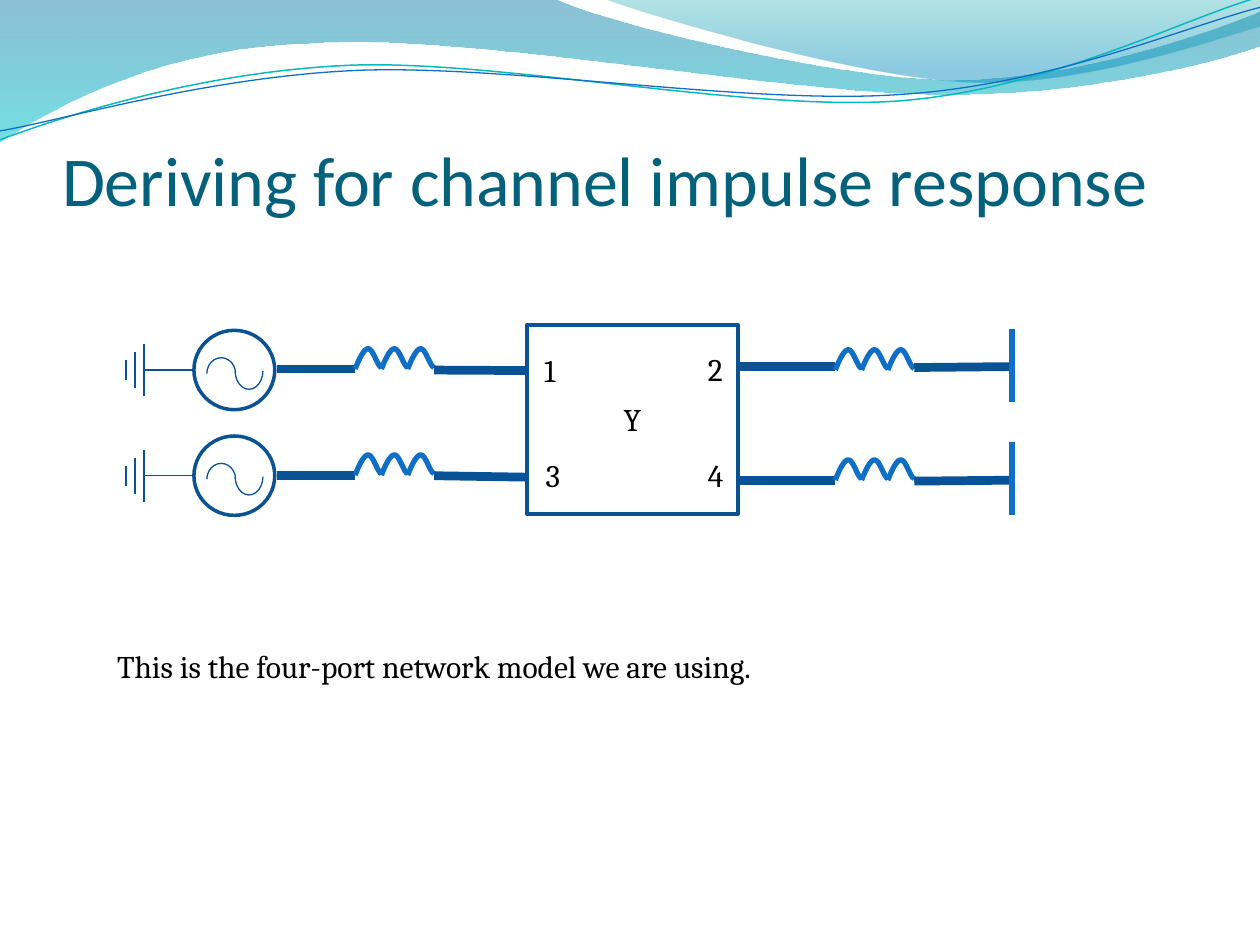
from dataclasses import dataclass

from lxml import etree
from pptx import Presentation
from pptx.dml.color import RGBColor
from pptx.enum.shapes import MSO_CONNECTOR, MSO_SHAPE
from pptx.enum.text import MSO_ANCHOR, PP_ALIGN
from pptx.oxml.ns import qn
from pptx.util import Cm, Pt

STRAIGHT = MSO_CONNECTOR.STRAIGHT
RECTANGLE, OVAL, ARC = MSO_SHAPE.RECTANGLE, MSO_SHAPE.OVAL, MSO_SHAPE.ARC
LEFT, CENTER = PP_ALIGN.LEFT, PP_ALIGN.CENTER
TOP, MIDDLE, BOTTOM = MSO_ANCHOR.TOP, MSO_ANCHOR.MIDDLE, MSO_ANCHOR.BOTTOM


@dataclass(frozen=True)
class Theme:
    title: str = "04617B"
    text: str = "000000"
    wire: str = "095295"
    outline: str = "0B5292"
    coil: str = "0F6FC6"
    teal: str = "0AB8BF"
    title_font: str = "Calibri"
    body_font: str = "Cambria"
    title_size: int = 40
    body_size: int = 18


@dataclass(frozen=True)
class Stop:
    position: float
    color: str
    opacity: int  # percent


@dataclass(frozen=True)
class Wave:
    """Two numbers in a segment make a line, six make a Bezier curve (cm)."""
    start: tuple
    segments: tuple
    stops: tuple = ()
    color: str = ""
    weight: float = 0
    rotation: float = 0


@dataclass(frozen=True)
class SourceBranch:
    y: float
    coil_y: float
    port_y: float


@dataclass(frozen=True)
class LoadBranch:
    wire_y: float
    coil_y: float
    bar_y: float


@dataclass(frozen=True)
class Port:
    number: str
    left: float
    top: float


THEME = Theme()
BOX_LEFT, BOX_RIGHT = 10.62, 14.88
SOURCE_COIL_X, LOAD_COIL_X, TURN, TURNS = 7.16, 16.84, 0.53, 3
BAR_X, BAR_HEIGHT = 20.4, 1.47
TURN_CURVE = ((0.08, -0.21, 0.18, -0.41, 0.26, -0.41),
              (0.36, -0.42, 0.45, -0.05, TURN, -0.03))

WAVES = (
    Wave((0, 0), ((11.18, -0.03), (12.09, 0.43, 16.87, 1.6, 19.25, 1.6),
                  (21.67, 1.6, 24.33, 0.66, 25.4, 0.23), (25.43, 0.91),
                  (24.97, 1.12, 22.1, 1.93, 18.95, 1.9),
                  (15.8, 1.9, 9.7, 0.71, 6.53, 0.86),
                  (3.28, 0.91, 1.17, 2.11, -0.03, 2.87)),
         stops=(Stop(0, "0074A1", 45), Stop(1, "00C6CF", 55))),
    Wave((12.17, -0.03), ((12.93, 0.28, 17.32, 1.57, 19.53, 1.65),
                          (21.74, 1.75, 24.41, 0.81, 25.4, 0.53), (25.4, 0)),
         stops=(Stop(0, "00A1A9", 30), Stop(0.8, "008BBF", 45))),
    Wave((-0.05, 2.22), ((1.19, 1.82, 4.02, 1.04, 7.05, 1.05),
                         (10.05, 1.07, 15.02, 2.37, 18.08, 2.29),
                         (21.13, 2.2, 23.87, 0.91, 25.41, 0.55)),
         color=THEME.teal, weight=0.85, rotation=357.3),
    Wave((-0.04, 2.04), ((1.16, 1.9, 4.18, 1.15, 7.2, 1.16),
                         (10.25, 1.18, 15.13, 2.25, 18.18, 2.16),
                         (21.21, 2.1, 23.93, 1.06, 25.45, 0.75)),
         color=THEME.coil, weight=0.75, rotation=357.3),
)
SOURCE_BRANCHES = (SourceBranch(7.46, 7.44, 7.47), SourceBranch(9.59, 9.58, 9.62))
LOAD_BRANCHES = (LoadBranch(7.39, 7.46, 7.37), LoadBranch(9.68, 9.68, 9.65))
PORTS = (Port("1", 10.72, 6.96), Port("4", 14.02, 9.07),
         Port("3", 10.75, 9.07), Port("2", 14.02, 6.94))


def set_line(shape, color: str, weight: float) -> None:
    shape.line.color.rgb = RGBColor.from_string(color)
    shape.line.width = Pt(weight)


def add_line(slide, start: tuple, end: tuple, color: str, weight: float) -> None:
    line = slide.shapes.add_connector(STRAIGHT, *map(Cm, start + end))
    set_line(line, color, weight)
    etree.SubElement(line.element.spPr, qn("a:effectLst"))


def add_outline(slide, kind, left: float, top: float, width: float, height: float,
                color: str, weight: float):
    shape = slide.shapes.add_shape(kind, Cm(left), Cm(top), Cm(width), Cm(height))
    shape.fill.background()
    set_line(shape, color, weight)
    shape.shadow.inherit = False
    return shape


def add_curve(slide, start: tuple, segments: tuple, closed: bool = False):
    points = [(Cm(x), Cm(y)) for segment in segments
              for x, y in zip(segment[::2], segment[1::2])]
    builder = slide.shapes.build_freeform(Cm(start[0]), Cm(start[1]))
    builder.add_line_segments(points, close=closed)
    curve = builder.convert_to_shape()
    # Turn each run of three points into one Bezier segment
    lines = iter(list(curve.element.spPr.iter(qn("a:lnTo"))))
    for segment in segments:
        line = next(lines)
        if len(segment) == 6:
            line.addprevious(bezier := etree.Element(qn("a:cubicBezTo")))
            for part in (line, next(lines), next(lines)):
                bezier.append(part[0])
                part.getparent().remove(part)
    curve.fill.background()
    curve.shadow.inherit = False
    return curve


def add_wave(slide, wave: Wave) -> None:
    shape = add_curve(slide, wave.start, wave.segments, closed=bool(wave.stops))
    shape.rotation = wave.rotation
    if not wave.stops:
        set_line(shape, wave.color, wave.weight)
        return
    shape.line.fill.background()
    shape.fill.gradient()
    shape.fill.gradient_angle = 270
    for target, stop in zip(shape.fill.gradient_stops, wave.stops):
        target.position = stop.position
        target.color.rgb = RGBColor.from_string(stop.color)
    for color, stop in zip(shape.element.spPr.iter(qn("a:srgbClr")), wave.stops):
        etree.SubElement(color, qn("a:alpha"), val=str(stop.opacity * 1000))


def add_coil(slide, left: float, base: float) -> None:
    for turn in range(TURNS):
        x = left + turn * TURN
        segments = tuple(tuple(value + (base if index % 2 else x)
                               for index, value in enumerate(curve))
                         for curve in TURN_CURVE)
        set_line(add_curve(slide, (x, base), segments), THEME.coil, 3)


def write(shape, text: str, font: str, size: int, color: str,
          align=LEFT, anchor=TOP) -> None:
    frame = shape.text_frame
    frame.word_wrap = True
    frame.vertical_anchor = anchor
    frame.text = text
    paragraph = frame.paragraphs[0]
    paragraph.alignment = align
    paragraph.font.name = font
    paragraph.font.size = Pt(size)
    paragraph.font.color.rgb = RGBColor.from_string(color)


def add_text(slide, text: str, left: float, top: float, width: float, height: float) -> None:
    box = slide.shapes.add_textbox(Cm(left), Cm(top), Cm(width), Cm(height))
    write(box, text, THEME.body_font, THEME.body_size, THEME.text)


def add_source_branch(slide, branch: SourceBranch) -> None:
    y = branch.y
    # Ground symbol
    add_line(slide, (3.93, y), (2.9, y), THEME.wire, 0.75)
    for x, half in ((2.9, 0.52), (2.72, 0.36), (2.54, 0.2)):
        add_line(slide, (x, y - half), (x, y + half), THEME.wire, 0.75)
    # Alternating source: circle with a trough and a crest
    add_outline(slide, OVAL, 3.91, y - 0.8, 1.63, 1.6, THEME.outline, 2)
    for left, top, width, height, rotation in ((4.65, y - 0.26, 0.74, 0.56, 90),
                                               (4.14, y - 0.22, 0.64, 0.58, 270)):
        arc = add_outline(slide, ARC, left, top, width, height, THEME.wire, 0.75)
        arc.adjustments[0], arc.adjustments[1] = 162, 53.03
        arc.rotation = rotation
    # Coil between two wires
    add_line(slide, (5.59, branch.coil_y), (SOURCE_COIL_X, branch.coil_y), THEME.wire, 5)
    add_coil(slide, SOURCE_COIL_X, branch.coil_y)
    add_line(slide, (SOURCE_COIL_X + TURNS * TURN, y), (BOX_LEFT, branch.port_y),
             THEME.wire, 5)


def add_load_branch(slide, branch: LoadBranch) -> None:
    y = branch.wire_y
    add_line(slide, (BOX_RIGHT, y), (LOAD_COIL_X, y), THEME.wire, 5)
    add_coil(slide, LOAD_COIL_X, branch.coil_y)
    add_line(slide, (LOAD_COIL_X + TURNS * TURN, y + 0.02), (BAR_X, y), THEME.wire, 5)
    add_line(slide, (BAR_X, branch.bar_y - BAR_HEIGHT / 2),
             (BAR_X, branch.bar_y + BAR_HEIGHT / 2), THEME.coil, 3)


def main() -> None:
    presentation = Presentation()
    presentation.slide_width, presentation.slide_height = Cm(25.4), Cm(19.05)
    slide = presentation.slides.add_slide(presentation.slide_layouts[5])

    # Header waves
    for wave in WAVES:
        add_wave(slide, wave)

    # Title
    title = slide.shapes.title
    title.left, title.top, title.width, title.height = map(Cm, (1.25, 1.9, 22.86, 2.54))
    frame = title.text_frame
    frame.margin_left = frame.margin_right = frame.margin_bottom = 0
    frame.margin_top = Cm(0.13)
    write(title, "Deriving for channel impulse response", THEME.title_font,
          THEME.title_size, THEME.title, anchor=BOTTOM)

    # Four-port network with its branches
    network = add_outline(slide, RECTANGLE, BOX_LEFT, 6.55, BOX_RIGHT - BOX_LEFT, 3.81,
                          THEME.outline, 2)
    write(network, "Y", THEME.body_font, THEME.body_size, THEME.text, CENTER, MIDDLE)
    for branch in SOURCE_BRANCHES:
        add_source_branch(slide, branch)
    for branch in LOAD_BRANCHES:
        add_load_branch(slide, branch)
    for port in PORTS:
        add_text(slide, port.number, port.left, port.top, 0.84, 1.02)

    # Caption
    add_text(slide, "This is the four-port network model we are using.",
             2.11, 12.91, 19.84, 1.8)
    presentation.save("out.pptx")


if __name__ == "__main__":
    main()
